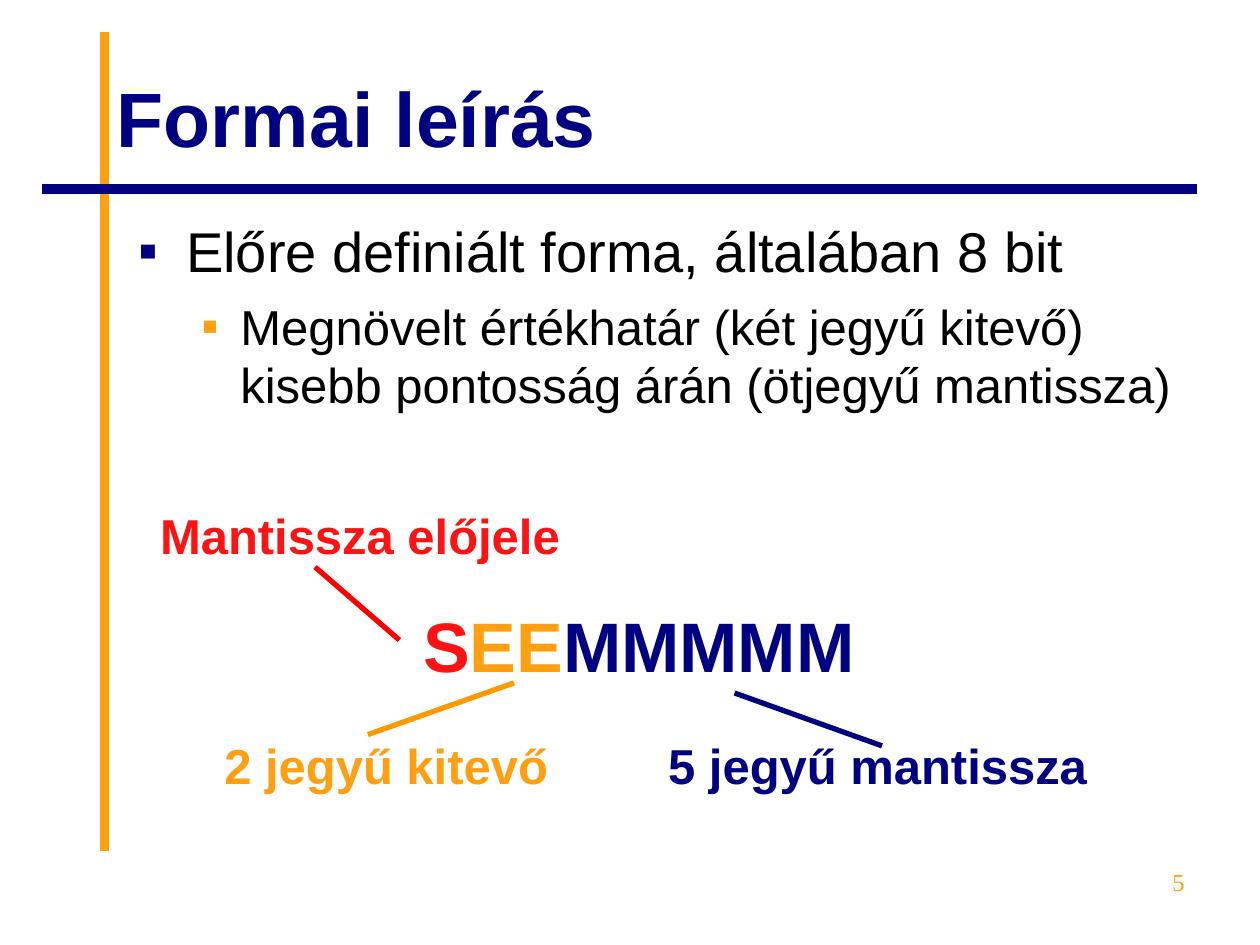
import dataclasses

import pptx
import pptx.dml.color
import pptx.enum.text
import pptx.oxml.ns
import pptx.util
from lxml import etree
from pptx.util import Inches

ALIGN = pptx.enum.text.PP_ALIGN
ANCHOR = pptx.enum.text.MSO_ANCHOR


@dataclasses.dataclass(frozen=True)
class Theme:
    """Hold the colours, fonts and sizes of the slide."""
    navy: str = "000080"
    gold: str = "FF9F11"
    amber: str = "FF9900"
    red: str = "FD1313"
    flame: str = "FF0000"
    black: str = "000000"
    sans: str = "Arial"
    serif: str = "Times New Roman"
    title: int = 44
    code: int = 40
    lead: int = 32
    label: int = 28
    page: int = 14
    rule: float = 5.5
    link: float = 3


THEME = Theme()


def rgb(code):
    """Turn a hex code into a colour."""
    return pptx.dml.color.RGBColor.from_string(code)


def text(para, words, size=THEME.label, color=THEME.black, bold=False,
         font=THEME.sans, align=ALIGN.LEFT, space=None):
    """Add a run of words to a paragraph in the given format."""
    para.alignment = align
    if space:
        para.line_spacing = space
    run = para.add_run()
    run.text = words
    run.font.size = pptx.util.Pt(size)
    run.font.color.rgb = rgb(color)
    run.font.bold = bold
    run.font.name = font


def box(slide, left, top, width, height, anchor=ANCHOR.TOP):
    """Add a wrapped text box and return its frame."""
    shape = slide.shapes.add_textbox(
        Inches(left), Inches(top), Inches(width), Inches(height))
    frame = shape.text_frame
    frame.word_wrap = True
    frame.vertical_anchor = anchor
    return frame


def bullet(para, color, left, hang):
    """Give a paragraph a square bullet with a hanging indent."""
    qn = pptx.oxml.ns.qn
    props = para._p.get_or_add_pPr()
    props.set("marL", str(Inches(left)))
    props.set("indent", str(-Inches(hang)))
    tint = etree.SubElement(props, qn("a:buClr"))
    etree.SubElement(tint, qn("a:srgbClr"), val=color)
    etree.SubElement(props, qn("a:buFont"), typeface=THEME.sans)
    etree.SubElement(props, qn("a:buChar"), char="▪")


def line(slide, start, end, color, width):
    """Draw a straight line without a shadow."""
    link = slide.shapes.add_connector(
        pptx.enum.shapes.MSO_CONNECTOR.STRAIGHT,
        *(Inches(x) for x in (*start, *end)))
    link.line.color.rgb = rgb(color)
    link.line.width = pptx.util.Pt(width)
    etree.SubElement(link._element.spPr, pptx.oxml.ns.qn("a:effectLst"))


def points(slide):
    """Add the two bulleted points."""
    frame = box(slide, 1, 1.67, 8.5, 4.95)
    lead = frame.paragraphs[0]
    bullet(lead, THEME.navy, 0.38, 0.38)
    text(lead, "Előre definiált forma, általában 8 bit", size=THEME.lead)
    sub = frame.add_paragraph()
    sub.level = 1
    sub.space_before = pptx.util.Pt(7)
    bullet(sub, THEME.gold, 0.81, 0.31)
    text(sub, "Megnövelt értékhatár (két jegyű kitevő) "
              "kisebb pontosság árán (ötjegyű mantissza)")


def grid(slide):
    """Add the table that shows the parts of the number format."""
    cols, rows = (3.79, 4.01), (0.57, 1.02, 0.82)
    table = slide.shapes.add_table(
        len(rows), len(cols), Inches(1.17), Inches(4),
        Inches(sum(cols)), Inches(sum(rows))).table
    table.first_row = table.horz_banding = False
    for col, width in zip(table.columns, cols):
        col.width = Inches(width)
    for row, height in zip(table.rows, rows):
        row.height = Inches(height)
    for cell in table.iter_cells():
        cell.fill.background()
    for i in range(2):
        table.cell(i, 0).merge(table.cell(i, 1))

    def para(row, col):
        """Return the first paragraph of a cell."""
        return table.cell(row, col).text_frame.paragraphs[0]

    text(para(0, 0), "Mantissza előjele", color=THEME.red, bold=True)
    for words, color in (("S", THEME.red), ("EE", THEME.gold),
                         ("MMMMM", THEME.navy)):
        text(para(1, 0), words, size=THEME.code, color=color, bold=True,
             align=ALIGN.CENTER, space=1.35)
    for col, (words, color) in enumerate((
            ("2 jegyű kitevő", THEME.gold),
            ("5 jegyű mantissza", THEME.navy))):
        text(para(2, col), words, color=color, bold=True,
             align=ALIGN.CENTER, space=1.55)


def main():
    """Build and save the slide."""
    deck = pptx.Presentation()
    deck.slide_width, deck.slide_height = Inches(10), Inches(7.5)
    slide = deck.slides.add_slide(deck.slide_layouts[6])
    line(slide, (0.83, 6.75), (0.83, 0.25), THEME.gold, THEME.rule)
    line(slide, (9.5, 1.5), (0.33, 1.5), THEME.navy, THEME.rule)
    head = box(slide, 0.83, 0.3, 8.67, 1.25, anchor=ANCHOR.MIDDLE)
    text(head.paragraphs[0], "Formai leírás", size=THEME.title,
         color=THEME.navy, bold=True)
    points(slide)
    grid(slide)
    for start, end, color in (
            ((2.5, 4.5), (3.17, 5.08), THEME.flame),
            ((7, 5.92), (5.83, 5.5), THEME.navy),
            ((2.92, 5.83), (4.08, 5.42), THEME.amber)):
        line(slide, start, end, color, THEME.link)
    page = box(slide, 7.17, 6.83, 2.33, 0.52)
    text(page.paragraphs[0], "5", size=THEME.page, color=THEME.gold,
         font=THEME.serif, align=ALIGN.RIGHT)
    deck.save("out.pptx")


if __name__ == "__main__":
    main()
